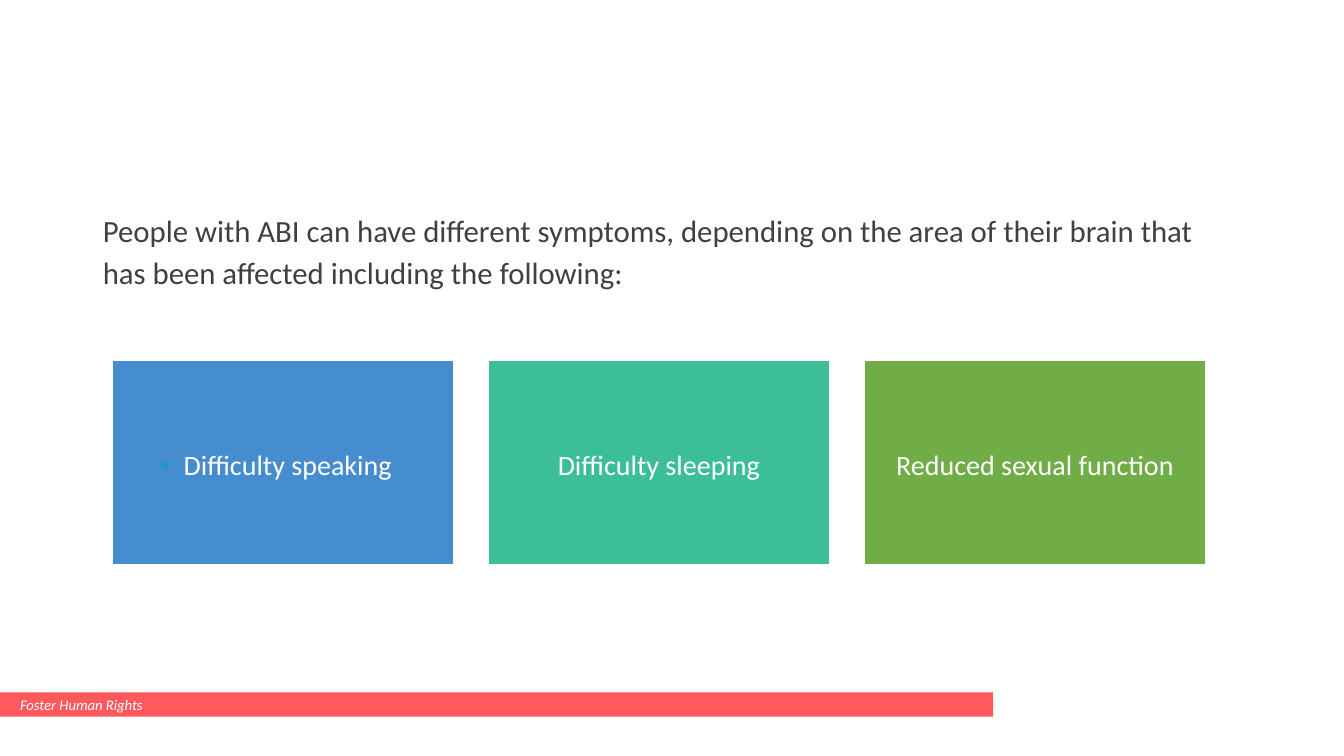
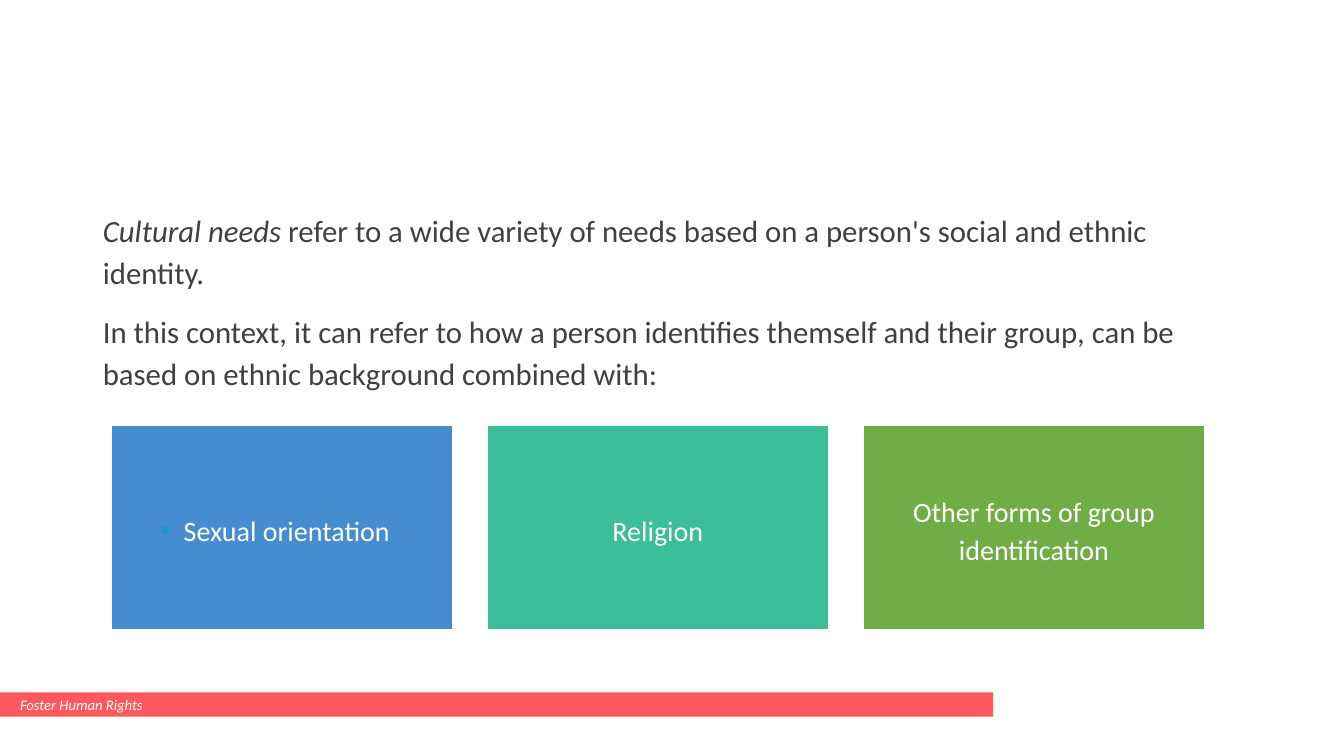
from lxml.etree import SubElement
from pptx import Presentation
from pptx.dml.color import RGBColor
from pptx.enum.shapes import MSO_SHAPE
from pptx.enum.text import MSO_ANCHOR, MSO_AUTO_SIZE, PP_ALIGN
from pptx.oxml.ns import qn
from pptx.util import Pt

PX = 9144
FONT = "Calibri"
WHITE = RGBColor(0xFF, 0xFF, 0xFF)
TEXT = RGBColor(0x40, 0x40, 0x40)
BAND = RGBColor(0xFF, 0x59, 0x5E)
BULLET = RGBColor(0x1C, 0x96, 0xD3)
CARD_FILLS = [
    RGBColor(0x45, 0x8D, 0xCF),
    RGBColor(0x3C, 0xBE, 0x99),
    RGBColor(0x70, 0xAD, 0x47),
]

FOOTER = "Foster Human Rights"
SLIDES = [
    {
        "body": [
            [("People with ABI can have different symptoms, depending on the area of "
              "their brain that has been affected including the following:", False)],
        ],
        "cards": ["Difficulty speaking", "Difficulty sleeping", "Reduced sexual function"],
        "cards_at": (111, 357),
    },
    {
        "body": [
            [("Cultural needs ", True),
             ("refer to a wide variety of needs based on a person's social and ethnic "
              "identity.", False)],
            [("In this context, it can refer to how a person identifies themself and their "
              "group, can be based on ethnic background combined with:", False)],
        ],
        "cards": ["Sexual orientation", "Religion", "Other forms of group identification"],
        "cards_at": (110, 422),
    },
]

SLIDE_W, SLIDE_H = 1333, 750
BODY_BOX = (92, 200, 1103, 476)
BAND_BOX = (0, 687, 985, 24)
CARD_W, CARD_H, CARD_GAP = 339, 203, 34
CARD_INSET = 8
LINE_SPACING = 1.14


def emu(*lengths):
    return [n * PX for n in lengths]


def style(run, size, color, italic=False):
    run.font.name = FONT
    run.font.size = Pt(size)
    run.font.color.rgb = color
    run.font.italic = italic


def indent(p, left, first=0):
    pPr = p._p.get_or_add_pPr()
    pPr.set("marL", str(left * PX))
    pPr.set("indent", str(first * PX))
    return pPr


def add_bullet(p):
    pPr = indent(p, 9, -23)
    color = SubElement(pPr, qn("a:buClr"))
    SubElement(color, qn("a:srgbClr"), val=str(BULLET))
    SubElement(pPr, qn("a:buFont"), typeface=FONT)
    SubElement(pPr, qn("a:buChar"), char="▪")


def add_box(s, box, fill, text, size, italic=False):
    sp = s.shapes.add_shape(MSO_SHAPE.RECTANGLE, *emu(*box))
    sp.shadow.inherit = False
    sp.fill.solid()
    sp.fill.fore_color.rgb = fill
    sp.line.fill.background()
    tf = sp.text_frame
    tf.word_wrap = True
    tf.vertical_anchor = MSO_ANCHOR.MIDDLE
    p = tf.paragraphs[0]
    p.text = text
    style(p.runs[0], size, WHITE, italic)
    return sp


def add_body(s, paragraphs):
    sp = s.placeholders[1]
    sp.left, sp.top, sp.width, sp.height = emu(*BODY_BOX)
    tf = sp.text_frame
    tf.auto_size = MSO_AUTO_SIZE.NONE
    for i, runs in enumerate(paragraphs):
        p = tf.add_paragraph() if i else tf.paragraphs[0]
        SubElement(indent(p, 0), qn("a:buNone"))
        p.line_spacing = LINE_SPACING
        p.space_before = Pt(6 if i else 0)
        p.space_after = Pt(6)
        for text, italic in runs:
            r = p.add_run()
            r.text = text
            style(r, 22, TEXT, italic)


def add_footer(s):
    sp = add_box(s, BAND_BOX, BAND, FOOTER, 10.5, italic=True)
    p = sp.text_frame.paragraphs[0]
    p.alignment = PP_ALIGN.LEFT
    indent(p, 10)


def add_cards(s, labels, at):
    left, top = at
    for i, (label, fill) in enumerate(zip(labels, CARD_FILLS)):
        x = left + i * (CARD_W + CARD_GAP)
        sp = add_box(s, (x, top, CARD_W, CARD_H), fill, label, 20)
        sp.line.color.rgb = WHITE
        sp.line.width = Pt(1)
        tf = sp.text_frame
        tf.margin_left = tf.margin_right = CARD_INSET * PX
        tf.margin_top = tf.margin_bottom = CARD_INSET * PX
        p = tf.paragraphs[0]
        if i == 0:
            add_bullet(p)
        p.alignment = PP_ALIGN.CENTER
        p.line_spacing = LINE_SPACING
        p.space_after = Pt(6)


def main():
    prs = Presentation()
    prs.slide_width, prs.slide_height = emu(SLIDE_W, SLIDE_H)
    for content in SLIDES:
        s = prs.slides.add_slide(prs.slide_layouts[1])
        title = s.shapes.title.element
        title.getparent().remove(title)
        add_body(s, content["body"])
        add_footer(s)
        add_cards(s, content["cards"], content["cards_at"])
    prs.save("out.pptx")


if __name__ == "__main__":
    main()
